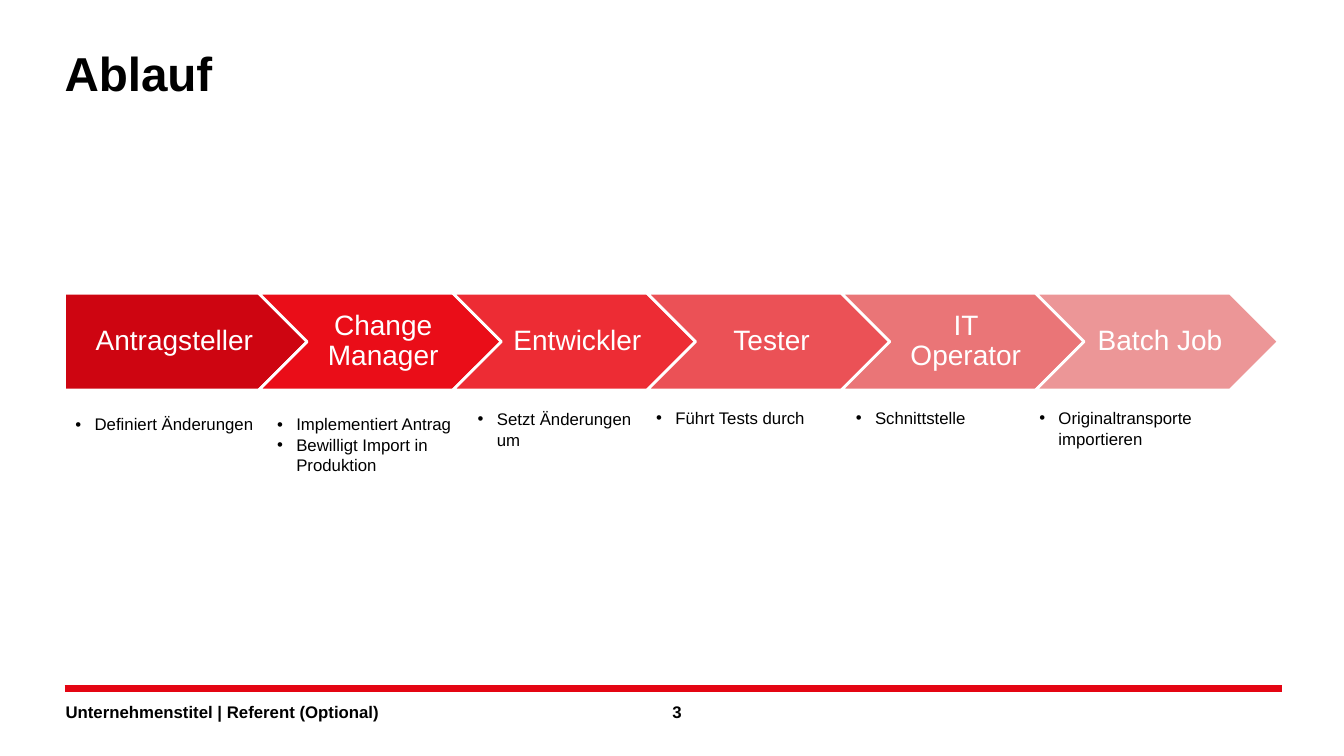
from lxml import etree
from pptx import Presentation
from pptx.dml.color import RGBColor
from pptx.enum.shapes import MSO_CONNECTOR, MSO_SHAPE
from pptx.enum.text import MSO_ANCHOR, PP_ALIGN
from pptx.oxml.ns import qn
from pptx.util import Inches, Pt

FONT = "Arial"
COLORS = {"text": "000000", "white": "FFFFFF", "rule": "E40513"}

# label, fill, tasks, box of the tasks (left, top, width, height)
STEPS = [
    ("Antragsteller ", "CE0511", ["Definiert Änderungen"],
     (0.65, 4.06, 1.98, 0.3)),
    ("Change Manager", "EA0D18",
     ["Implementiert Antrag", "Bewilligt Import in Produktion"],
     (2.65, 4.06, 1.98, 0.71)),
    ("Entwickler", "ED2C34", ["Setzt Änderungen um"],
     (4.64, 4.01, 1.77, 0.5)),
    ("Tester", "EB5156", ["Führt Tests durch"], (6.41, 4, 1.77, 0.3)),
    ("IT Operator", "EA7577", ["Schnittstelle"], (8.39, 4, 1.77, 0.3)),
    ("Batch Job", "EC9697", ["Originaltransporte importieren"],
     (10.21, 4, 1.77, 0.5)),
]


def rgb(code):
    return RGBColor.from_string(code)


def place(shape, box):
    shape.left, shape.top, shape.width, shape.height = map(Inches, box)


def inset(frame, left=0, top=0, right=0, bottom=0):
    frame.margin_left, frame.margin_top = Inches(left), Inches(top)
    frame.margin_right, frame.margin_bottom = Inches(right), Inches(bottom)


def add_run(para, text, size, color="text", bold=False):
    run = para.add_run()
    run.text = text
    font = run.font
    font.name, font.size, font.bold = FONT, Pt(size), bold
    font.color.rgb = rgb(COLORS[color])


def add_box(slide, box):
    shape = slide.shapes.add_textbox(*map(Inches, box))
    shape.text_frame.word_wrap = True
    return shape.text_frame


def add_title(slide, text, box):
    title = slide.shapes.title
    place(title, box)
    frame = title.text_frame
    inset(frame)
    frame.vertical_anchor = MSO_ANCHOR.TOP
    para = frame.paragraphs[0]
    para.alignment, para.line_spacing = PP_ALIGN.LEFT, 0.9
    add_run(para, text, 34, bold=True)


def add_step(slide, kind, label, fill, box):
    shape = slide.shapes.add_shape(kind, *map(Inches, box))
    shape.shadow.inherit = False
    shape.fill.solid()
    shape.fill.fore_color.rgb = rgb(fill)
    shape.line.color.rgb = rgb(COLORS["white"])
    shape.line.width = Pt(2)
    frame = shape.text_frame
    frame.word_wrap = True
    frame.vertical_anchor = MSO_ANCHOR.MIDDLE
    inset(frame, 0.12 if kind == MSO_SHAPE.PENTAGON else 0.09,
          0.06, 0.03, 0.06)
    para = frame.paragraphs[0]
    para.alignment, para.line_spacing = PP_ALIGN.CENTER, 0.9
    add_run(para, label, 20, "white")


def add_tasks(slide, tasks, box):
    frame = add_box(slide, box)
    for i, task in enumerate(tasks):
        para = frame.add_paragraph() if i else frame.paragraphs[0]
        props = para._p.get_or_add_pPr()
        props.set("marL", str(Inches(0.19)))
        props.set("indent", str(-Inches(0.19)))
        etree.SubElement(props, qn("a:buFont")).set("typeface", FONT)
        etree.SubElement(props, qn("a:buChar")).set("char", "•")
        add_run(para, task, 12)


def add_flow(slide, box):
    """Lay out overlapping arrows, 80 % of a width apart, with their tasks."""
    left, top, width, high = box
    wide = width / (1 + 0.8 * (len(STEPS) - 1))
    for i, (label, fill, tasks, area) in enumerate(STEPS):
        kind = MSO_SHAPE.CHEVRON if i else MSO_SHAPE.PENTAGON
        spot = (left + 0.8 * wide * i, top, wide, high)
        add_step(slide, kind, label, fill, spot)
        add_tasks(slide, tasks, area)


def add_footer(slide, box):
    left, top, width, high = box
    line = slide.shapes.add_connector(
        MSO_CONNECTOR.STRAIGHT, Inches(left), Inches(top),
        Inches(left + width), Inches(top))
    line.line.color.rgb = rgb(COLORS["rule"])
    line.line.width = Pt(4.5)
    etree.SubElement(line._element.spPr, qn("a:effectLst"))

    owner = add_box(slide, (left + 0.01, top + 0.15, 5.78, 0.21))
    inset(owner)
    owner.paragraphs[0].line_spacing = 0.9
    add_run(owner.paragraphs[0], "Unternehmenstitel | Referent (Optional)",
            12, bold=True)

    page = add_box(slide, (left + 5.89, top + 0.07, 0.37, high - 0.07))
    inset(page)
    page.vertical_anchor = MSO_ANCHOR.MIDDLE
    page.paragraphs[0].alignment = PP_ALIGN.CENTER
    add_run(page.paragraphs[0], "3", 12, bold=True)


def main():
    deck = Presentation()
    deck.slide_width, deck.slide_height = Inches(13.33), Inches(7.5)
    slide = deck.slides.add_slide(deck.slide_layouts[5])
    add_title(slide, "Ablauf", (0.64, 0.5, 11.29, 0.45))
    add_flow(slide, (0.64, 2.91, 12.04, 0.96))
    add_footer(slide, (0.64, 6.83, 12.08, 0.39))
    deck.save("out.pptx")


if __name__ == "__main__":
    main()
